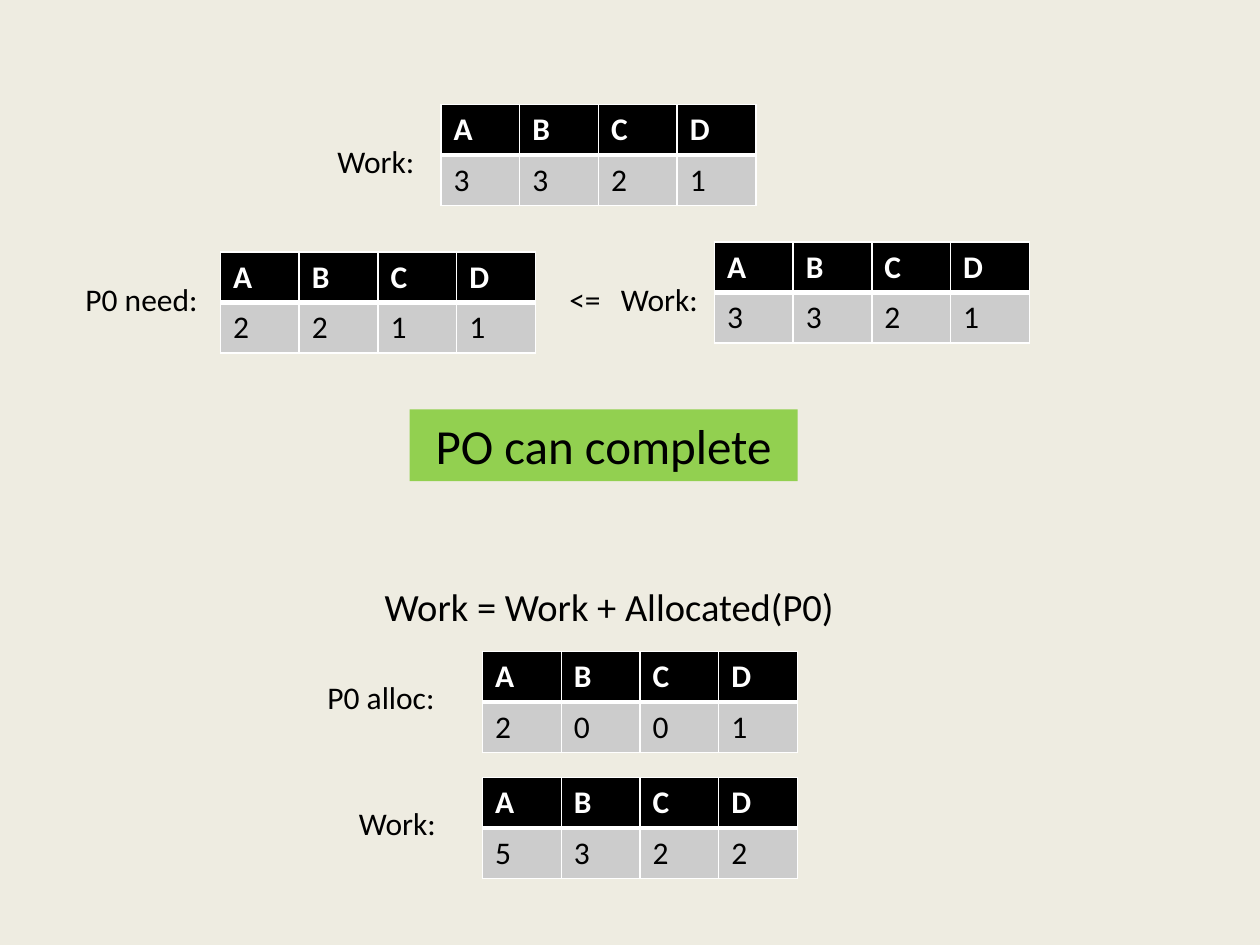
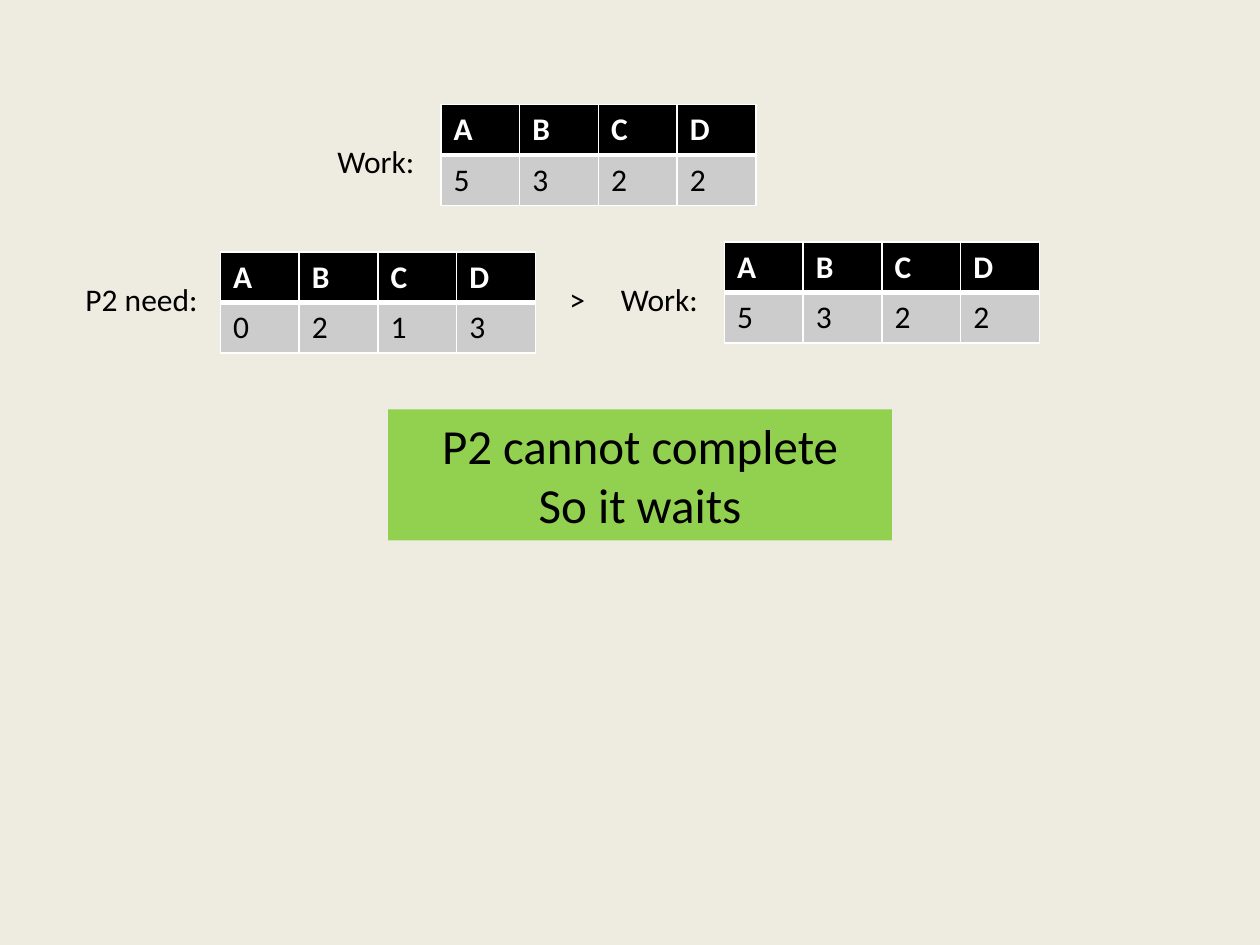
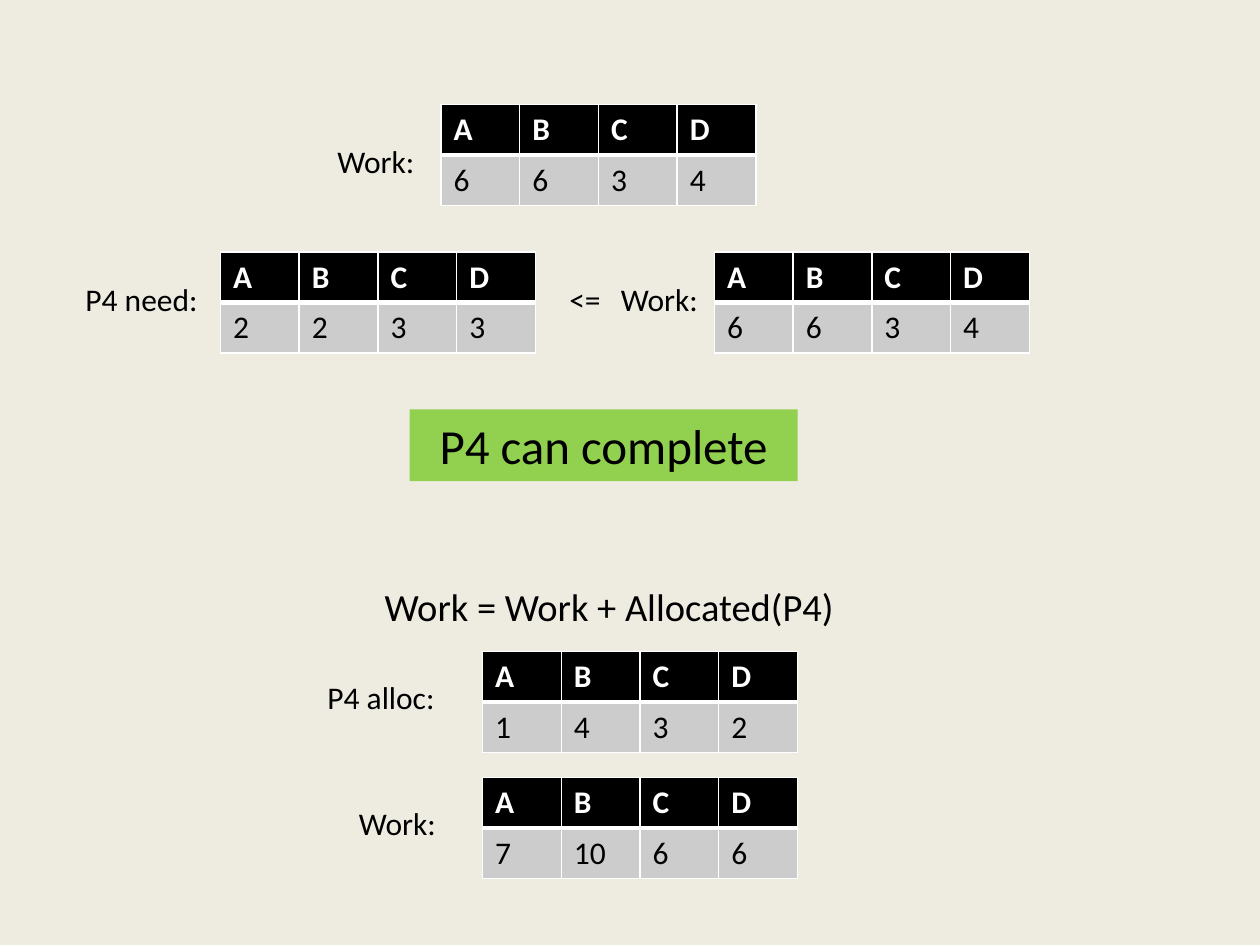
from lxml.etree import SubElement
from pptx import Presentation
from pptx.dml.color import RGBColor
from pptx.enum.shapes import MSO_SHAPE
from pptx.enum.text import MSO_ANCHOR, MSO_AUTO_SIZE, PP_ALIGN
from pptx.oxml.ns import qn
from pptx.util import Inches, Pt

COLORS = {
    "background": "EEECE1",
    "text": "000000",
    "header": "000000",
    "header_text": "FFFFFF",
    "cell": "CCCCCC",
    "border": "FFFFFF",
    "verdict": "92D050",
}
FONT = "Calibri"
RESOURCES = "ABCD"
TABLE_WIDTH, ROW_HEIGHT = 2.5, 0.4
LABEL_HEIGHT = 0.4


def rgb(name):
    return RGBColor.from_string(COLORS[name])


def write(p, text, size=18, color="text", bold=False):
    r = p.add_run()
    r.text = str(text)
    for name, value in {"name": FONT, "size": Pt(size), "bold": bold}.items():
        setattr(r.font, name, value)
    r.font.color.rgb = rgb(color)


def fill_frame(tf, lines, size, align):
    frame_format = {
        "word_wrap": True,
        "auto_size": MSO_AUTO_SIZE.SHAPE_TO_FIT_TEXT,
        "vertical_anchor": MSO_ANCHOR.TOP,
    }
    for name, value in frame_format.items():
        setattr(tf, name, value)
    for i, line in enumerate(lines):
        p = tf.add_paragraph() if i else tf.paragraphs[0]
        p.alignment = align
        write(p, line, size)


def add_label(s, text, x, y, w, h=LABEL_HEIGHT, size=18, align=PP_ALIGN.LEFT):
    sp = s.shapes.add_textbox(Inches(x), Inches(y), Inches(w), Inches(h))
    fill_frame(sp.text_frame, [text], size, align)


def add_verdict(s, lines, x, w, h):
    sp = s.shapes.add_shape(
        MSO_SHAPE.RECTANGLE, Inches(x), Inches(3.25), Inches(w), Inches(h))
    sp.shadow.inherit = False
    sp.fill.solid()
    sp.fill.fore_color.rgb = rgb("verdict")
    sp.line.fill.background()
    fill_frame(sp.text_frame, lines, 28, PP_ALIGN.CENTER)


def set_borders(cell, widths):
    tc_pr = cell._tc.get_or_add_tcPr()
    for side, width in widths.items():
        ln = SubElement(tc_pr, qn(f"a:ln{side}"), w=str(Pt(width)))
        solid = SubElement(ln, qn("a:solidFill"))
        SubElement(solid, qn("a:srgbClr"), val=COLORS["border"])


def add_vector(s, values, x, y):
    table = s.shapes.add_table(
        2, len(RESOURCES), Inches(x), Inches(y),
        Inches(TABLE_WIDTH), Inches(2 * ROW_HEIGHT)).table
    table.horz_banding = False
    rows = [
        (RESOURCES, "header", "header_text", True, {"L": 1, "R": 1, "T": 1, "B": 3}),
        (values, "cell", "text", False, {"L": 1, "R": 1, "T": 3, "B": 1}),
    ]
    for i, (texts, fill, color, bold, widths) in enumerate(rows):
        for j, text in enumerate(texts):
            cell = table.cell(i, j)
            set_borders(cell, widths)
            cell.fill.solid()
            cell.fill.fore_color.rgb = rgb(fill)
            write(cell.text_frame.paragraphs[0], text, color=color, bold=bold)


def add_comparison(s, process, work, need, sign, work_x=5.67, work_y=1.92):
    add_label(s, "Work:", 2.58, 1.08, 0.83)
    add_vector(s, work, 3.5, 0.83)
    add_label(s, f"{process} need:", 0.58, 2.17, 1.17)
    add_vector(s, need, 1.75, 2)
    add_label(s, sign, 4.42, 2.17, 0.5)
    add_label(s, "Work:", 4.83, 2.17, 0.83)
    add_vector(s, work, work_x, work_y)


def add_release(s, process, work, alloc):
    add_label(s, f"Work = Work + Allocated({process})", 2.67, 4.58, 4.33,
              0.47, 22, PP_ALIGN.CENTER)
    add_label(s, f"{process} alloc:", 2.5, 5.33, 1.17)
    add_vector(s, alloc, 3.83, 5.17)
    add_label(s, "Work:", 2.75, 6.33, 0.83)
    add_vector(s, [w + a for w, a in zip(work, alloc)], 3.83, 6.17)


def add_completing_slide(prs, process, verdict, work, need, alloc, work_y):
    s = prs.slides.add_slide(prs.slide_layouts[6])
    add_comparison(s, process, work, need, "<=", work_y=work_y)
    add_verdict(s, [verdict], 3.25, 3.08, 0.57)
    add_release(s, process, work, alloc)


def add_waiting_slide(prs, process, work, need):
    s = prs.slides.add_slide(prs.slide_layouts[6])
    add_comparison(s, process, work, need, ">", work_x=5.75)
    add_verdict(s, [f"{process} cannot complete", "So it waits"], 3.08, 4, 1.04)


def main():
    prs = Presentation()
    prs.slide_width, prs.slide_height = Inches(10), Inches(7.5)
    background = prs.slide_master.background.fill
    background.solid()
    background.fore_color.rgb = rgb("background")

    add_completing_slide(prs, "P0", "PO can complete",
                         [3, 3, 2, 1], [2, 2, 1, 1], [2, 0, 0, 1], 1.92)
    add_waiting_slide(prs, "P2", [5, 3, 2, 2], [0, 2, 1, 3])
    add_completing_slide(prs, "P4", "P4 can complete",
                         [6, 6, 3, 4], [2, 2, 3, 3], [1, 4, 3, 2], 2)
    prs.save("out.pptx")


if __name__ == "__main__":
    main()
